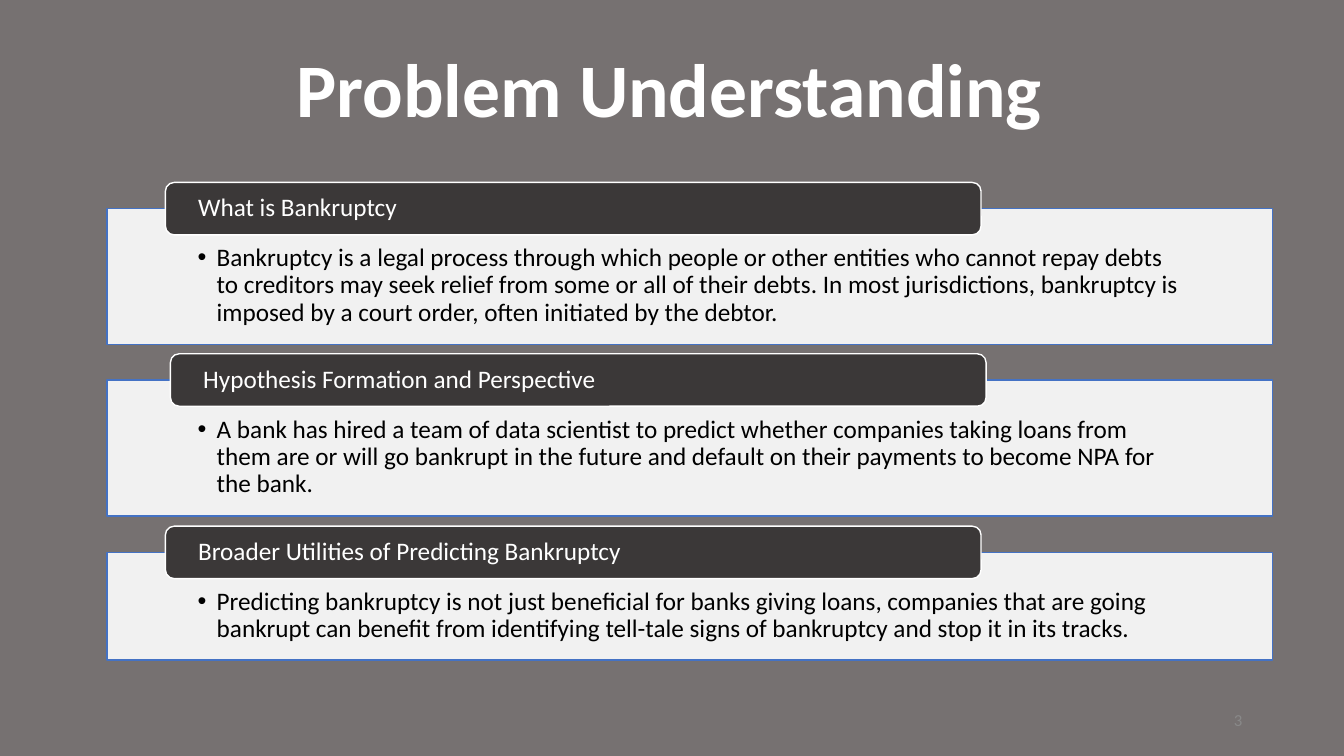
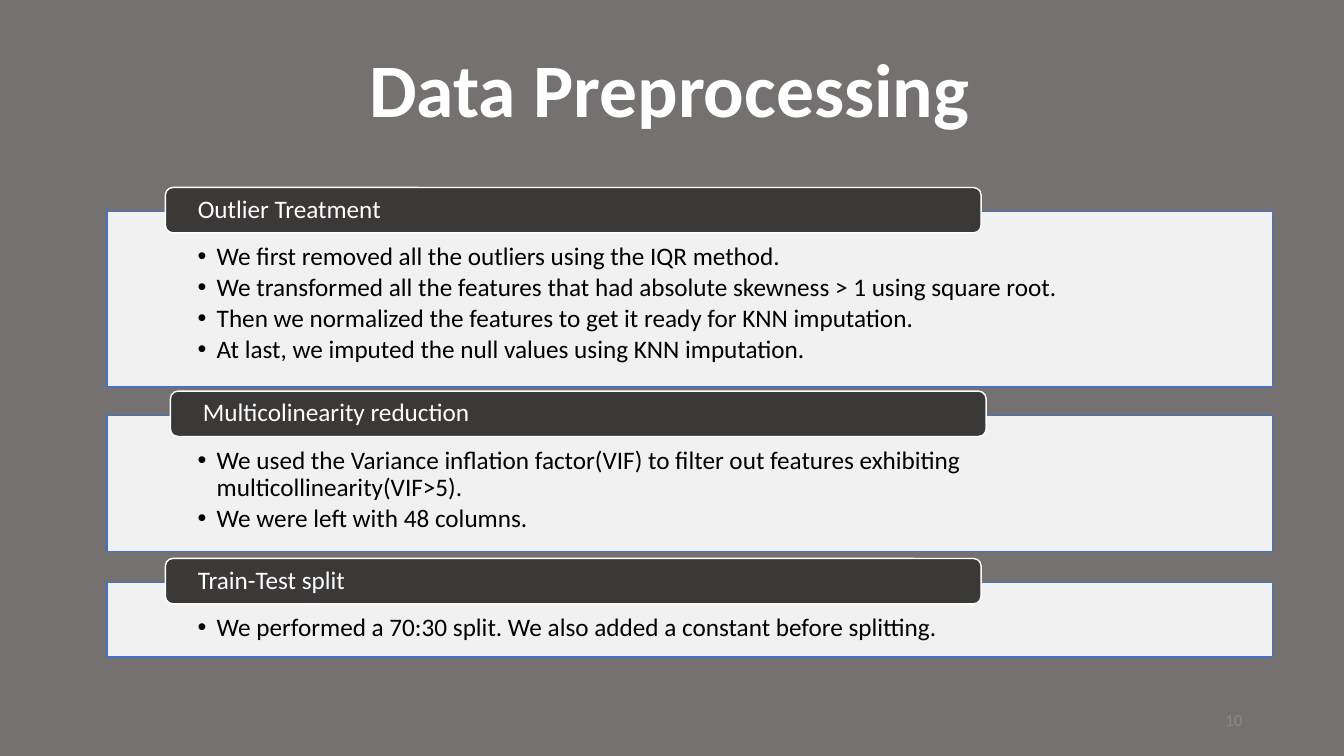
from lxml import etree
from pptx import Presentation
from pptx.dml.color import RGBColor
from pptx.enum.shapes import MSO_SHAPE
from pptx.enum.text import MSO_ANCHOR, PP_ALIGN
from pptx.oxml.ns import qn
from pptx.util import Inches, Pt

RECTANGLE, ROUNDED = MSO_SHAPE.RECTANGLE, MSO_SHAPE.ROUNDED_RECTANGLE
TOP, MIDDLE = MSO_ANCHOR.TOP, MSO_ANCHOR.MIDDLE
LEFT, CENTER, RIGHT = PP_ALIGN.LEFT, PP_ALIGN.CENTER, PP_ALIGN.RIGHT

GREY = RGBColor(0x76, 0x71, 0x71)
WHITE = RGBColor(0xFF, 0xFF, 0xFF)
BLACK = RGBColor(0x00, 0x00, 0x00)
CHARCOAL = RGBColor(0x3B, 0x38, 0x38)
BLUE = RGBColor(0x44, 0x72, 0xC4)
NUMBER_GREY = RGBColor(0x89, 0x89, 0x89)

FONT = "Calibri"
PANEL_LEFT, PANEL_WIDTH = 1.06, 11.56
TAB_LEFTS, TAB_WIDTH = (1.64, 1.69, 1.64), 8.09

# Content: each panel has top, height, heading and bullets
SLIDES = [
    {
        "title": "Problem Understanding", "number": "3",
        "tab_height": 0.52, "tab_rise": 0.26, "text_top": 0.36,
        "panels": [
            (2.07, 1.35, "What is Bankruptcy", [
                "Bankruptcy is a legal process through which people or other "
                "entities who cannot repay debts to creditors may seek relief "
                "from some or all of their debts. In most jurisdictions, "
                "bankruptcy is imposed by a court order, often initiated by "
                "the debtor."]),
            (3.77, 1.35, "Hypothesis Formation and Perspective", [
                "A bank has hired a team of data scientist to predict whether "
                "companies taking loans from them are or will go bankrupt in "
                "the future and default on their payments to become NPA for "
                "the bank."]),
            (5.48, 1.07, "Broader Utilities of Predicting Bankruptcy", [
                "Predicting bankruptcy is not just beneficial for banks giving "
                "loans, companies that are going bankrupt can benefit from "
                "identifying tell-tale signs of bankruptcy and stop it in its "
                "tracks."]),
        ],
    },
    {
        "title": "Data Preprocessing", "number": "10",
        "tab_height": 0.45, "tab_rise": 0.24, "text_top": 0.32,
        "panels": [
            (2.1, 1.74, "Outlier Treatment", [
                "We first removed all the outliers using the IQR method.",
                "We transformed all the features that had absolute skewness "
                "> 1 using square root.",
                "Then we normalized the features to get it ready for KNN "
                "imputation.",
                "At last, we imputed the null values using KNN imputation."]),
            (4.12, 1.35, "Multicolinearity reduction", [
                "We used the Variance inflation factor(VIF) to filter out "
                "features exhibiting multicollinearity(VIF>5).",
                "We were left with 48 columns."]),
            (5.78, 0.74, "Train-Test split", [
                "We performed a 70:30 split. We also added a constant before "
                "splitting."]),
        ],
    },
]


def write(shape, lines, size, color, align=LEFT, anchor=MIDDLE, bold=False,
          margins=(0.1, 0.05, 0.1, 0.05), bullets=False):
    frame = shape.text_frame
    frame.word_wrap = True
    frame.vertical_anchor = anchor
    sides = ("margin_left", "margin_top", "margin_right", "margin_bottom")
    for side, margin in zip(sides, margins):
        setattr(frame, side, Inches(margin))
    frame.text = "\n".join(lines)
    for paragraph in frame.paragraphs:
        paragraph.alignment = align
        paragraph.line_spacing = 0.9
        for name, value in {"name": FONT, "size": Pt(size), "bold": bold}.items():
            setattr(paragraph.runs[0].font, name, value)
        paragraph.runs[0].font.color.rgb = color
        if bullets:
            paragraph.space_after = Pt(2.7)
            props = paragraph._p.get_or_add_pPr()
            props.set("marL", str(Inches(0.19)))
            props.set("indent", str(Inches(-0.19)))
            etree.SubElement(props, qn("a:buFont"), typeface="Arial")
            etree.SubElement(props, qn("a:buChar"), char="•")


def add_block(slide, kind, box, fill, line):
    block = slide.shapes.add_shape(kind, *map(Inches, box))
    block.shadow.inherit = False
    block.fill.solid()
    block.fill.fore_color.rgb = fill
    block.line.color.rgb = line
    block.line.width = Pt(1)
    return block


prs = Presentation()
prs.slide_width, prs.slide_height = Inches(13.33), Inches(7.5)
blank = prs.slide_layouts[6]

# Shared background
backdrop = prs.slide_master.background.fill
backdrop.solid()
backdrop.fore_color.rgb = GREY

for content in SLIDES:
    slide = prs.slides.add_slide(blank)

    # Title
    title = slide.shapes.add_textbox(*map(Inches, (0.86, 0.22, 11.56, 1.4)))
    write(title, [content["title"]], 54, WHITE, CENTER, bold=True)

    # Panels with overlapping heading tabs
    for tab_left, (top, height, heading, points) in zip(TAB_LEFTS, content["panels"]):
        panel = add_block(slide, RECTANGLE, (PANEL_LEFT, top, PANEL_WIDTH, height),
                          WHITE, BLUE)
        white_fill = panel.fill._xPr.find(qn("a:solidFill"))[0]
        etree.SubElement(white_fill, qn("a:alpha"), val="90000")
        write(panel, points, 18, BLACK, anchor=TOP, bullets=True,
              margins=(0.9, content["text_top"], 0.9, 0.14))

        tab_box = (tab_left, top - content["tab_rise"], TAB_WIDTH,
                   content["tab_height"])
        tab = add_block(slide, ROUNDED, tab_box, CHARCOAL, WHITE)
        write(tab, [heading], 18, WHITE, margins=(0.3, 0, 0.3, 0))

    # Slide number
    number = slide.shapes.add_textbox(*map(Inches, (9.42, 6.95, 3, 0.4)))
    write(number, [content["number"]], 12, NUMBER_GREY, RIGHT)

prs.save("out.pptx")
